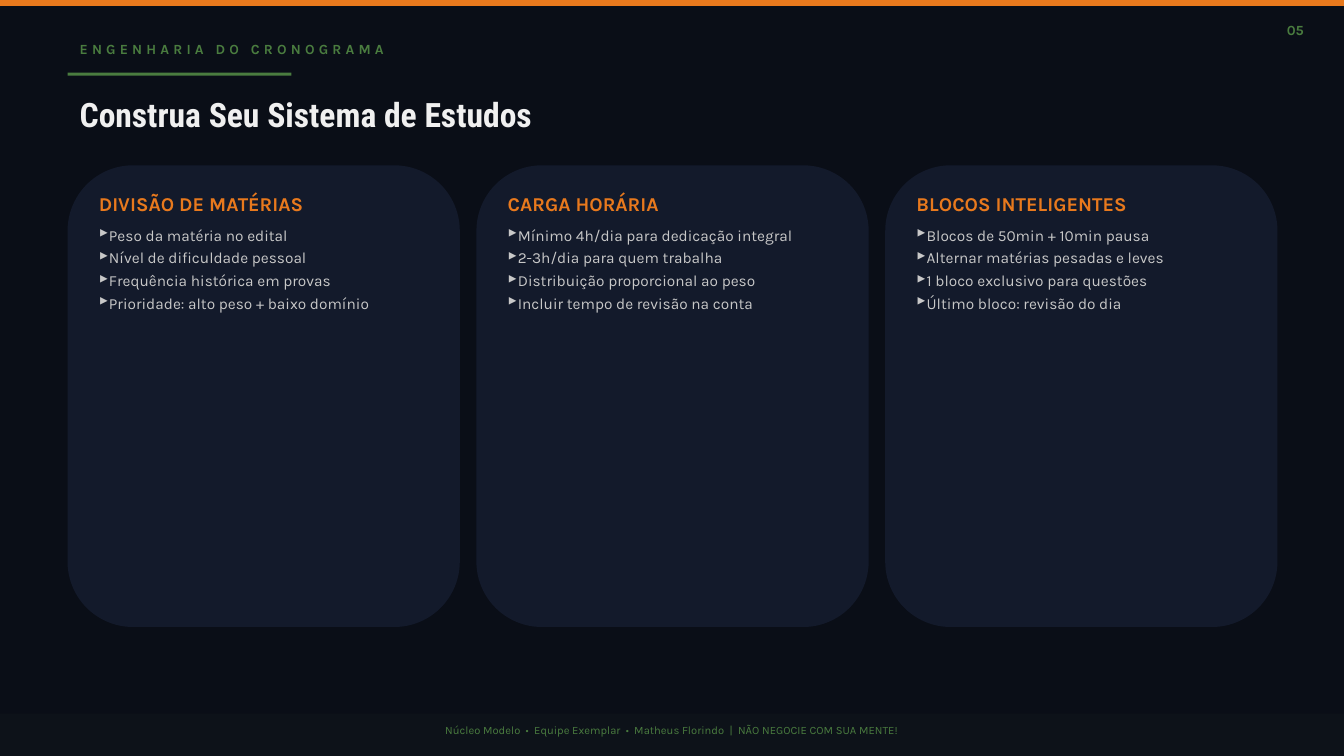
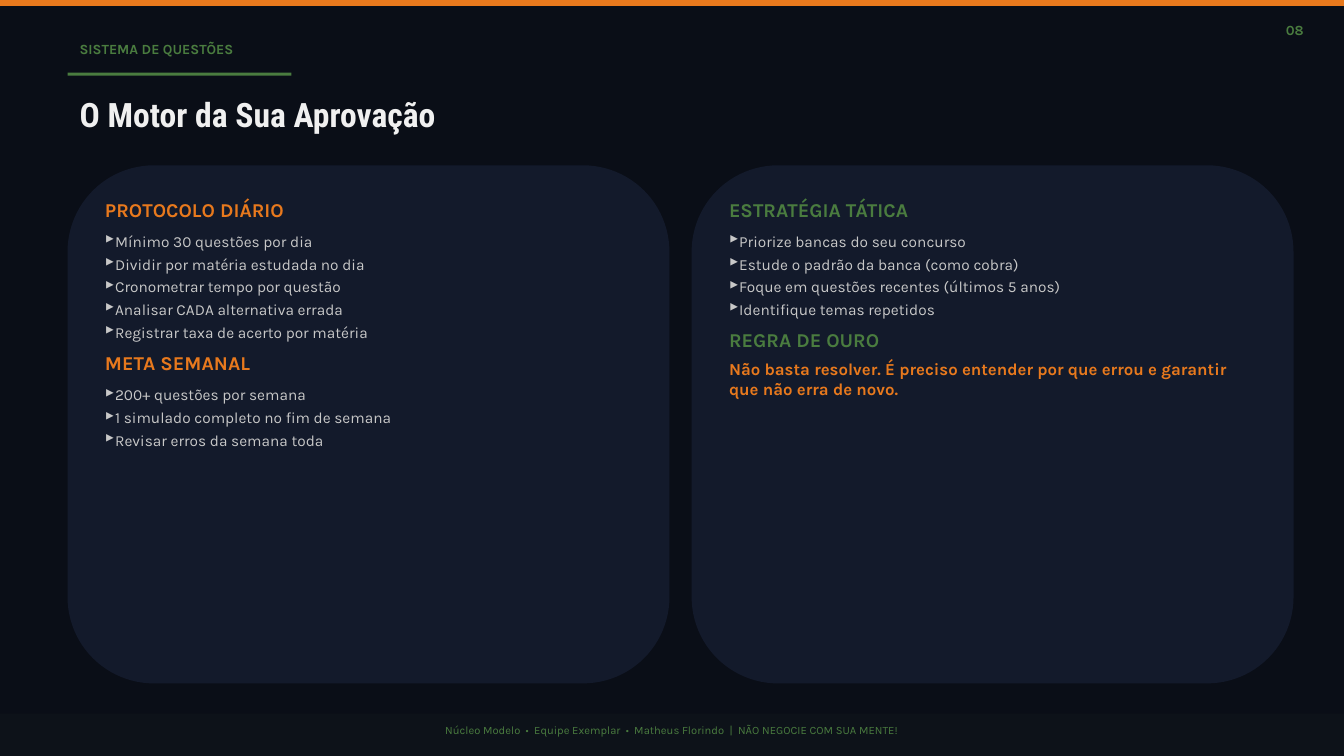
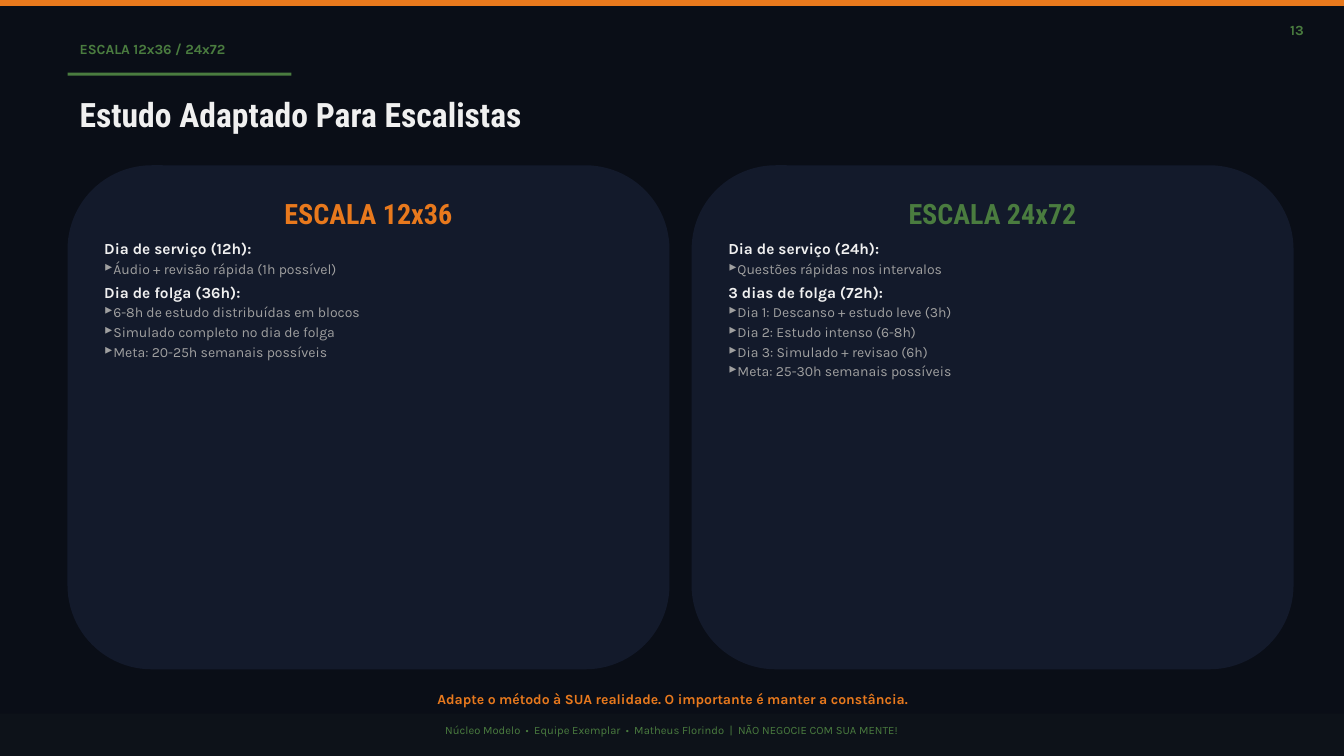
import pptx
import pptx.util
import pptx.dml.color
import pptx.enum.shapes
import pptx.enum.text
import pptx.oxml.ns
from lxml import etree

Inches, Pt = pptx.util.Inches, pptx.util.Pt
SHAPE = pptx.enum.shapes.MSO_SHAPE
ALIGN = pptx.enum.text.PP_ALIGN

# Shared look
WIDTH, HEIGHT = 13.33, 7.5
LEFT, CARD_TOP = 0.67, 1.64
BACK, BAND, CARD = "0A0E17", "0D1219", "131A2B"
ORANGE, GREEN, WHITE = "E8791D", "4A7C3F", "F0F0F0"
BODY, HEAD = "Karla", "Roboto Condensed"
FOOTER = ("Núcleo Modelo  •  Equipe Exemplar  •  Matheus Florindo"
          "  |  NÃO NEGOCIE COM SUA MENTE!")

# Paragraph styles; a style without a colour takes the accent of its card
STYLES = {
    "heading": dict(size=14, bold=True, before=7),
    "first": dict(size=11, color="C8C8C8", before=7.7, bullet=True),
    "item": dict(size=11, color="C8C8C8", before=3, bullet=True),
    "rule": dict(size=12, color=ORANGE, bold=True, before=4.7),
    "shift": dict(size=20, font=HEAD, bold=True, align=ALIGN.CENTER),
    "first_day": dict(size=11, color=WHITE, bold=True, before=6),
    "day": dict(size=11, color=WHITE, bold=True, before=4),
    "task": dict(size=10, color="A0A0A0", before=2, bullet=True),
}


def rgb(color):
    return pptx.dml.color.RGBColor.from_string(color)


def format_paragraph(p, size, color, font=BODY, bold=False, before=0,
                     bullet=False, align=ALIGN.LEFT, spacing=0):
    p.alignment = align
    p.space_before = Pt(before)
    if bullet:
        pPr = p._p.get_or_add_pPr()
        pPr.set("marL", "0")
        pPr.set("indent", "0")
        etree.SubElement(pPr, pptx.oxml.ns.qn("a:buChar")).set("char", "▸")
    for r in p.runs:
        r.font.size = Pt(size)
        r.font.name = font
        r.font.bold = bold
        r.font.color.rgb = rgb(color)
        if spacing:
            r._r.get_or_add_rPr().set("spc", str(spacing * 100))


def set_frame(tf):
    tf.word_wrap = True
    tf.vertical_anchor = pptx.enum.text.MSO_ANCHOR.TOP
    tf.margin_left = tf.margin_right = Inches(0.12)
    tf.margin_top = tf.margin_bottom = Inches(0.07)


def add_box(s, x, y, w, h, color, kind=SHAPE.RECTANGLE):
    sp = s.shapes.add_shape(kind, Inches(x), Inches(y), Inches(w), Inches(h))
    sp.shadow.inherit = False
    sp.fill.solid()
    sp.fill.fore_color.rgb = rgb(color)
    sp.line.fill.background()
    return sp


def add_text(s, x, y, w, h, text, size, color, **style):
    sp = s.shapes.add_textbox(Inches(x), Inches(y), Inches(w), Inches(h))
    set_frame(sp.text_frame)
    p = sp.text_frame.paragraphs[0]
    p.text = text
    format_paragraph(p, size, color, **style)


def add_card(s, x, w, h, accent, lines):
    sp = add_box(s, x, CARD_TOP, w, h, CARD, SHAPE.ROUNDED_RECTANGLE)
    tf = sp.text_frame
    set_frame(tf)
    tf.text = "\n".join(text for _, text in lines)
    for p, (style, _) in zip(tf.paragraphs, lines):
        format_paragraph(p, **{"color": accent, **STYLES[style]})


def add_cards(s, span, w, h, cards):
    """Spread equal cards evenly over the span."""
    step = (span - w) / (len(cards) - 1)
    for i, (accent, lines) in enumerate(cards):
        add_card(s, LEFT + i * step, w, h, accent, lines)


def section(heading, items):
    """A heading followed by its bullet list."""
    return ([("heading", heading), ("first", items[0])]
            + [("item", text) for text in items[1:]])


def schedule(shift, work_day, work_task, rest_days, rest_tasks):
    """A work shift with the tasks of its work and rest days."""
    return ([("shift", shift), ("first_day", work_day), ("task", work_task),
             ("day", rest_days)] + [("task", text) for text in rest_tasks])


def add_slide(prs, number, topic, title, spacing=0):
    s = prs.slides.add_slide(prs.slide_layouts[6])
    s.background.fill.solid()
    s.background.fill.fore_color.rgb = rgb(BACK)
    # Header
    add_box(s, 0, 0, WIDTH, 0.06, ORANGE)
    add_text(s, 12.36, 0.14, 0.69, 0.33, number, 10, GREEN, bold=True,
             align=ALIGN.RIGHT)
    add_text(s, LEFT, 0.33, 6.94, 0.33, topic, 10, GREEN, bold=True,
             spacing=spacing)
    add_box(s, LEFT, 0.72, 2.22, 0.03, GREEN)
    add_text(s, LEFT, 0.86, 12, 0.62, title, 24, WHITE, font=HEAD, bold=True)
    # Footer
    add_box(s, 0, 7.08, WIDTH, 0.42, BAND)
    add_text(s, 0, 7.11, WIDTH, 0.36, FOOTER, 8, GREEN, align=ALIGN.CENTER)
    return s


def schedule_slide(prs):
    s = add_slide(prs, "05", "ENGENHARIA DO CRONOGRAMA",
                  "Construa Seu Sistema de Estudos", spacing=3)
    add_cards(s, 12, 3.89, 4.58, [
        (ORANGE, section("DIVISÃO DE MATÉRIAS", [
            "Peso da matéria no edital",
            "Nível de dificuldade pessoal",
            "Frequência histórica em provas",
            "Prioridade: alto peso + baixo domínio"])),
        (ORANGE, section("CARGA HORÁRIA", [
            "Mínimo 4h/dia para dedicação integral",
            "2-3h/dia para quem trabalha",
            "Distribuição proporcional ao peso",
            "Incluir tempo de revisão na conta"])),
        (ORANGE, section("BLOCOS INTELIGENTES", [
            "Blocos de 50min + 10min pausa",
            "Alternar matérias pesadas e leves",
            "1 bloco exclusivo para questões",
            "Último bloco: revisão do dia"])),
    ])


def questions_slide(prs):
    s = add_slide(prs, "08", "SISTEMA DE QUESTÕES", "O Motor da Sua Aprovação")
    daily = section("PROTOCOLO DIÁRIO", [
        "Mínimo 30 questões por dia",
        "Dividir por matéria estudada no dia",
        "Cronometrar tempo por questão",
        "Analisar CADA alternativa errada",
        "Registrar taxa de acerto por matéria"])
    weekly = section("META SEMANAL", [
        "200+ questões por semana",
        "1 simulado completo no fim de semana",
        "Revisar erros da semana toda"])
    strategy = section("ESTRATÉGIA TÁTICA", [
        "Priorize bancas do seu concurso",
        "Estude o padrão da banca (como cobra)",
        "Foque em questões recentes (últimos 5 anos)",
        "Identifique temas repetidos"])
    golden_rule = [
        ("heading", "REGRA DE OURO"),
        ("rule", "Não basta resolver. É preciso entender por que errou "
                 "e garantir que não erra de novo.")]
    add_cards(s, 12.16, 5.97, 5.14, [(ORANGE, daily + weekly),
                                     (GREEN, strategy + golden_rule)])


def shifts_slide(prs):
    s = add_slide(prs, "13", "ESCALA 12x36 / 24x72",
                  "Estudo Adaptado Para Escalistas")
    add_cards(s, 12.16, 5.97, 5, [
        (ORANGE, schedule(
            "ESCALA 12x36",
            "Dia de serviço (12h):", "Áudio + revisão rápida (1h possível)",
            "Dia de folga (36h):", [
                "6-8h de estudo distribuídas em blocos",
                "Simulado completo no dia de folga",
                "Meta: 20-25h semanais possíveis"])),
        (GREEN, schedule(
            "ESCALA 24x72",
            "Dia de serviço (24h):", "Questões rápidas nos intervalos",
            "3 dias de folga (72h):", [
                "Dia 1: Descanso + estudo leve (3h)",
                "Dia 2: Estudo intenso (6-8h)",
                "Dia 3: Simulado + revisao (6h)",
                "Meta: 25-30h semanais possíveis"])),
    ])
    add_text(s, LEFT, 6.78, 12, 0.22,
             "Adapte o método à SUA realidade. "
             "O importante é manter a constância.",
             10, ORANGE, bold=True, align=ALIGN.CENTER)


def main():
    prs = pptx.Presentation()
    prs.slide_width, prs.slide_height = Inches(WIDTH), Inches(HEIGHT)
    schedule_slide(prs)
    questions_slide(prs)
    shifts_slide(prs)
    prs.save("out.pptx")


if __name__ == "__main__":
    main()
